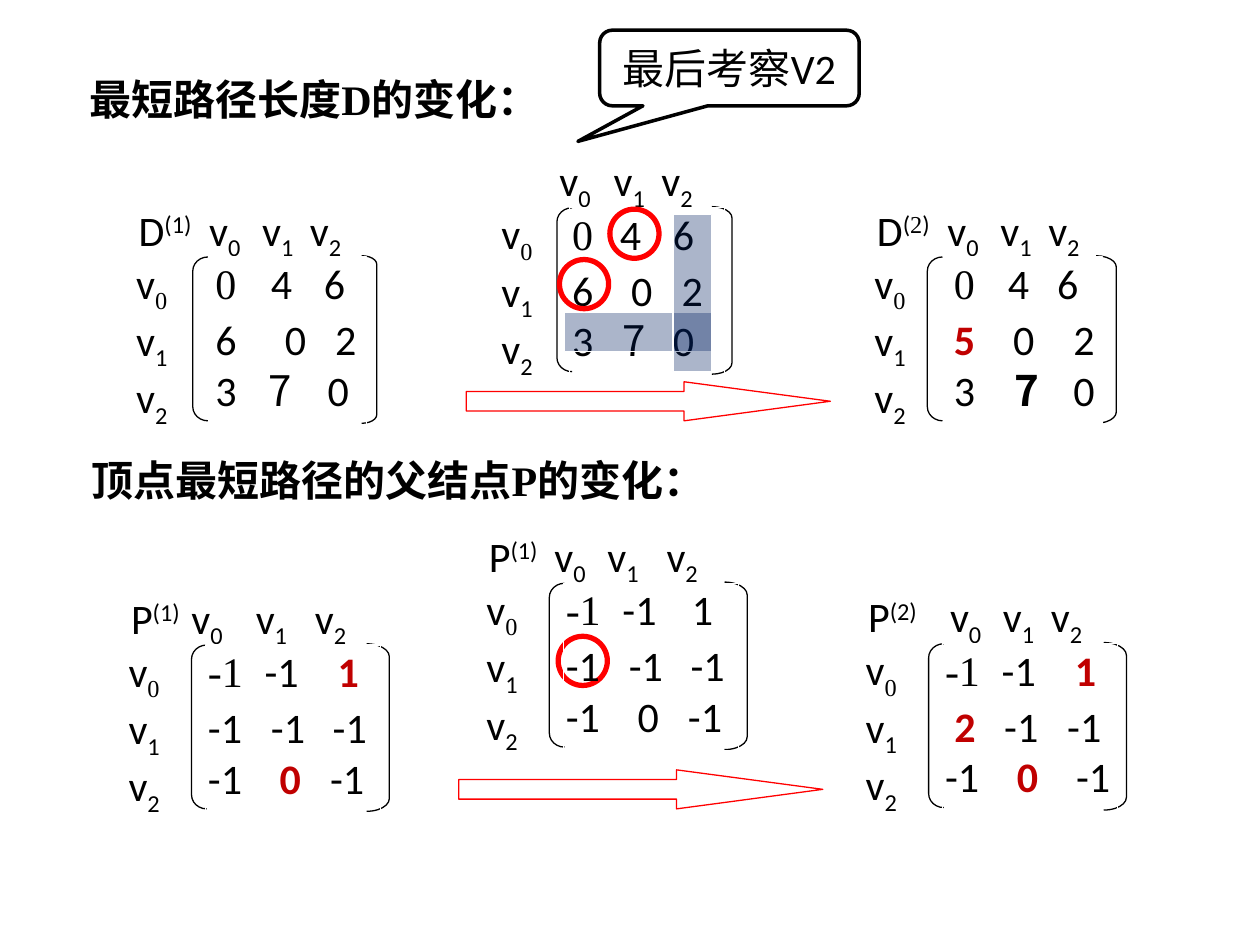
from dataclasses import dataclass
from functools import partial
from typing import Optional, Union

from lxml import etree
from pptx import Presentation
from pptx import util as u
from pptx.dml.color import RGBColor
from pptx.enum import shapes, text
from pptx.oxml.ns import qn

SANS, SERIF, CJK = "Calibri", "Times New Roman", "Noto Sans CJK SC"
BLACK, WHITE, RED, DARK_RED, NAVY = "000000", "FFFFFF", "FF0000", "C00000", "002060"
KIND = shapes.MSO_SHAPE


@dataclass(frozen=True)
class Run:
    text: str
    font: str = SANS
    color: str = BLACK
    bold: bool = False
    baseline: int = 0  # percent of the text size


changed = partial(Run, color=DARK_RED, bold=True)
serif = partial(Run, font=SERIF)
sub = partial(Run, baseline=-25)
sup = partial(Run, baseline=30)


@dataclass(frozen=True)
class Row:
    cells: tuple[Union[str, Run], ...]
    stops: tuple[float, float]


@dataclass(frozen=True)
class Matrix:
    """Places are offsets from the left edge of the header."""
    left: float
    top: float
    name: tuple[Run, ...]
    header_stops: tuple[float, float, float]
    rows: tuple[Row, Row, Row]
    header_width: float = 2.11
    header_alpha: int = 5
    left_bracket: float = 0.54
    right_bracket: float = 1.93
    right_bracket_width: float = 0.18
    cells_left: float = 0.65
    cells_width: float = 1.39
    cells_fill: Optional[str] = None
    labels_width: float = 0.41


D1 = Matrix(
    1.04, 1.62, (Run("D"), sup("(1)")), (0.56, 0.98, 1.36),
    (Row((serif("0"), "4", "6"), (0.44, 0.86)),
     Row(("6", "0", "2"), (0.55, 0.95)),
     Row(("3", Run("7", CJK), "0"), (0.42, 0.89))),
    left_bracket=0.49, right_bracket=1.83, right_bracket_width=0.12, cells_width=1.22)
D2 = Matrix(
    6.9, 1.62, (Run("D"), sup("("), sup("2", font=SERIF), sup(")")), (0.56, 0.98, 1.36),
    (Row((serif("0"), "4", "6"), (0.43, 0.82)),
     Row((changed("5"), "0", "2"), (0.47, 0.95)),
     Row(("3", Run("7", CJK, bold=True), "0"), (0.48, 0.95))),
    header_alpha=100, left_bracket=0.46, right_bracket=1.8, right_bracket_width=0.16,
    cells_width=1.2, cells_fill=WHITE)
D_STEP = Matrix(
    3.94, 1.23, (), (0.44, 0.87, 1.25),
    (Row((serif("0"), "4", "6"), (0.38, 0.8)),
     Row(("6", "0", "2"), (0.47, 0.87)),
     Row(("3", Run("7", CJK), "0"), (0.4, 0.8))),
    header_width=1.86, header_alpha=100, left_bracket=0.48, right_bracket=1.71,
    right_bracket_width=0.16, cells_left=0.58, cells_width=1.23, labels_width=0.36)
P1 = Matrix(
    0.98, 4.7, (Run("P"), sup("(1)")), (0.48, 0.99, 1.46),
    (Row((serif("-1"), "-1", changed("1")), (0.45, 1.03)),
     Row(("-1", "-1", "-1"), (0.5, 0.99)),
     Row(("-1", changed("0"), "-1"), (0.57, 0.97))))
P_STEP = Matrix(
    3.82, 4.21, (Run("P"), sup("(1)")), (0.52, 0.94, 1.41),
    (Row((serif("-1"), "-1", "1"), (0.45, 1.0)),
     Row(("-1", "-1", "-1"), (0.5, 0.99)),
     Row(("-1", "0", "-1"), (0.57, 0.97))))
P2 = Matrix(
    6.83, 4.69, (Run("P"), sup("(2)")), (0.65, 1.07, 1.45),
    (Row((serif("-1"), "-1", changed("1")), (0.45, 1.03)),
     Row((changed(" 2"), "-1", "-1"), (0.47, 0.97)),
     Row(("-1", changed("0"), "-1"), (0.57, 1.04))))


def rgb(color: str) -> RGBColor:
    return RGBColor.from_string(color)


def add_shape(parent, kind, box, fill=None, line=WHITE, line_width=0.75, alpha=100,
              adjustments=()):
    shape = parent.add_shape(kind, *map(u.Inches, box))
    shape.shadow.inherit = False
    if fill:
        shape.fill.solid()
        shape.fill.fore_color.rgb = rgb(fill)
        if alpha < 100:
            color = shape.fill._xPr.find(".//" + qn("a:srgbClr"))
            etree.SubElement(color, qn("a:alpha"), val=str(alpha * 1000))
    else:
        shape.fill.background()
    shape.line.color.rgb = rgb(line)
    shape.line.width = u.Pt(line_width)
    for index, value in enumerate(adjustments):
        shape.adjustments[index] = value
    return shape


def add_runs(paragraph, runs) -> None:
    for part in runs:
        run = paragraph.add_run()
        run.text = part.text
        font = run.font
        font.size, font.name, font.bold = u.Pt(24), part.font, part.bold
        font.color.rgb = rgb(part.color)
        properties = run._r.get_or_add_rPr()
        if part.baseline:
            properties.set("baseline", str(part.baseline * 1000))
        east_asian = etree.Element(qn("a:ea"), typeface=CJK)
        properties.find(qn("a:latin")).addnext(east_asian)


def set_tab_stops(paragraph, stops) -> None:
    tabs = etree.SubElement(paragraph._p.get_or_add_pPr(), qn("a:tabLst"))
    for stop in stops:
        etree.SubElement(tabs, qn("a:tab"), pos=str(u.Inches(stop)), algn="l")


def write_lines(shape, lines, inset: float) -> list:
    """Fill a shape with (runs, tab stops) pairs, one paragraph each."""
    frame = shape.text_frame
    frame.word_wrap = True
    frame.vertical_anchor = text.MSO_ANCHOR.TOP
    frame.margin_left = frame.margin_right = u.Inches(inset)
    frame.margin_top = frame.margin_bottom = 0
    for index, (runs, stops) in enumerate(lines):
        paragraph = frame.add_paragraph() if index else frame.paragraphs[0]
        paragraph.alignment = text.PP_ALIGN.JUSTIFY
        if stops:
            set_tab_stops(paragraph, stops)
        add_runs(paragraph, runs)
    return list(frame.paragraphs)


def row_runs(row: Row) -> list[Run]:
    cells = [cell if isinstance(cell, Run) else Run(cell) for cell in row.cells]
    return [cells[0], Run("\t"), cells[1], Run("\t"), cells[2]]


def add_matrix(slide, matrix: Matrix):
    group = slide.shapes.add_group_shape().shapes
    x, y = matrix.left, matrix.top
    header = add_shape(group, KIND.RECTANGLE, (x, y, matrix.header_width, 0.42), WHITE,
                       alpha=matrix.header_alpha)
    columns = [run for i in range(3) for run in (Run("\tv"), sub(str(i)))]
    write_lines(header, [([*matrix.name, *columns], matrix.header_stops)], 0.06)

    add_shape(group, KIND.LEFT_BRACKET, (x + matrix.left_bracket, y + 0.42, 0.12, 1.3),
              line=BLACK, adjustments=[0.927])
    add_shape(group, KIND.RIGHT_BRACKET,
              (x + matrix.right_bracket, y + 0.41, matrix.right_bracket_width, 1.33),
              line=BLACK, adjustments=[0.563])

    cells = add_shape(group, KIND.RECTANGLE,
                      (x + matrix.cells_left, y + 0.42, matrix.cells_width, 1.33),
                      matrix.cells_fill)
    lines = write_lines(cells, [(row_runs(row), row.stops) for row in matrix.rows], 0.02)
    for line in lines:
        line.line_spacing = u.Pt(29)
    lines[1].space_before = u.Pt(3)

    labels = add_shape(group, KIND.RECTANGLE,
                       (x + 0.02, y + 0.42, matrix.labels_width, 1.38), WHITE)
    names = [(Run("v"), sub(str(i), font=SERIF if i == 0 else SANS)) for i in range(3)]
    write_lines(labels, [(name, ()) for name in names], 0.02)
    return group


def add_step_arrow(slide, left: float, top: float) -> None:
    add_shape(slide.shapes, KIND.RIGHT_ARROW, (left, top, 2.89, 0.31), WHITE, RED,
              adjustments=[0.5, 3.747])


def add_circle(slide, left: float, top: float) -> None:
    add_shape(slide.shapes, KIND.OVAL, (left, top, 0.39, 0.39), line=RED, line_width=3)


def write_heading(shape, box, words: str) -> None:
    shape.left, shape.top, shape.width, shape.height = map(u.Inches, box)
    frame = shape.text_frame
    frame.word_wrap = True
    frame.auto_size = text.MSO_AUTO_SIZE.NONE
    frame.vertical_anchor = text.MSO_ANCHOR.TOP
    frame.paragraphs[0].alignment = text.PP_ALIGN.LEFT
    add_runs(frame.paragraphs[0], [serif(words, bold=True)])


def main() -> None:
    deck = Presentation()
    deck.slide_width, deck.slide_height = u.Inches(10), u.Inches(7.5)
    slide = deck.slides.add_slide(deck.slide_layouts[5])
    write_heading(slide.shapes.title, (0.61, 0.53, 4.45, 0.51), "最短路径长度D的变化：")
    parents_heading = slide.shapes.add_textbox(0, 0, 0, 0)
    write_heading(parents_heading, (0.63, 3.56, 5.3, 0.5), "顶点最短路径的父结点P的变化：")

    add_matrix(slide, D1)
    add_matrix(slide, D2)
    add_step_arrow(slide, 3.7, 3.03)
    considered = add_matrix(slide, D_STEP)
    for band in ((4.48, 2.48, 1.17, 0.31), (5.34, 1.7, 0.31, 1.25)):
        add_shape(considered, KIND.RECTANGLE, band, NAVY, alpha=33)
    add_circle(slide, 4.44, 2.06)

    add_matrix(slide, P1)
    add_step_arrow(slide, 3.64, 6.11)
    add_circle(slide, 4.43, 5.05)
    add_matrix(slide, P_STEP)
    add_matrix(slide, P2)
    add_circle(slide, 4.84, 1.66)

    callout = add_shape(slide.shapes, KIND.ROUNDED_RECTANGULAR_CALLOUT,
                        (4.76, 0.24, 2.06, 0.6), WHITE, BLACK, 2,
                        adjustments=[-0.584, 0.971, 0.167])
    callout.text_frame.word_wrap = True
    callout.text_frame.paragraphs[0].alignment = text.PP_ALIGN.CENTER
    add_runs(callout.text_frame.paragraphs[0], [Run("最后考察V2")])
    deck.save("out.pptx")


if __name__ == "__main__":
    main()
